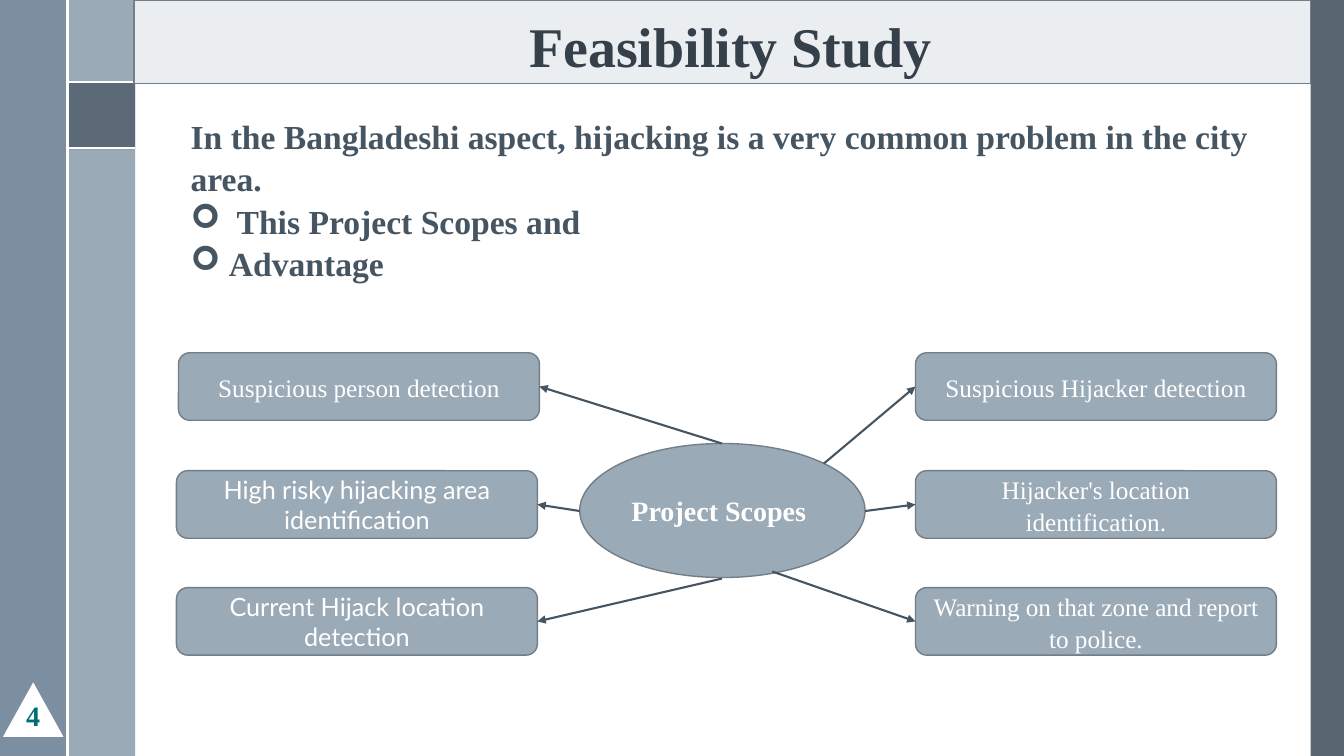
from lxml import etree
from pptx import Presentation
from pptx.dml.color import RGBColor
from pptx.enum import shapes as kinds, text as layout
from pptx.oxml.ns import qn
from pptx.util import Inches, Pt

SERIF, SANS = "Times New Roman", "Lato"
WHITE, STEEL, EDGE, SLATE, DARK = "FFFFFF", "9BAAB7", "737E87", "465562", "475562"
KIND = kinds.MSO_SHAPE
MIDDLE = layout.MSO_ANCHOR.MIDDLE
CENTER = layout.PP_ALIGN.CENTER
BOX_WIDTH, BOX_HEIGHT = 3.58, 0.67
ROW_TOPS = [3.5, 4.67, 5.83]

LEFT_SCOPES = [
    (1.77, "Suspicious person detection", SERIF),
    (1.75, "High risky hijacking area identification", SANS),
    (1.75, "Current Hijack location detection", SANS),
]
RIGHT_SCOPES = [
    (9.08, "Suspicious Hijacker detection", SERIF),
    (9.08, "Hijacker's location identification.", SERIF),
    (9.08, "Warning on that zone and report to police.", SERIF),
]
LEFT_STARTS = [(7.16, 4.4), (5.75, 5.07), (7.16, 5.74)]
RIGHT_STARTS = [(8.17, 4.6), (8.58, 5.07), (7.66, 5.67)]
PI_OUTLINE = [
    (1.18, 0.98), (0.9, 0.98), (0.86, 1), (0.83, 1.04), (0.84, 1.05), (0.85, 1.05),
    (0.87, 1.02), (0.9, 1.01), (0.94, 1.01), (0.93, 1.12), (0.91, 1.22), (0.88, 1.27),
    (0.88, 1.29), (0.9, 1.29), (0.94, 1.21), (0.96, 1.1), (0.97, 1.01), (1.06, 1.01),
    (1.05, 1.22), (1.05, 1.26), (1.07, 1.29), (1.1, 1.3), (1.12, 1.3), (1.16, 1.28),
    (1.19, 1.22), (1.18, 1.21), (1.16, 1.22), (1.14, 1.26), (1.11, 1.28), (1.08, 1.27),
    (1.07, 1.22), (1.09, 1.01), (1.18, 1.01), (1.19, 1),
]


def colour(value):
    return RGBColor.from_string(value)


def place(item, left, top, width, height):
    item.left, item.top = Inches(left), Inches(top)
    item.width, item.height = Inches(width), Inches(height)


def paint(shape, fill, line=None, alpha=None):
    shape.shadow.inherit = False
    shape.fill.solid()
    shape.fill.fore_color.rgb = colour(fill)
    if alpha:
        tint = shape.fill._xPr.find(qn("a:solidFill"))[0]
        etree.SubElement(tint, qn("a:alpha")).set("val", str(alpha * 1000))
    if line:
        shape.line.color.rgb = colour(line)
        shape.line.width = Pt(1)
    else:
        shape.line.fill.background()


def add_shape(page, kind, bounds, fill, line=None, alpha=None):
    shape = page.shapes.add_shape(kind, *map(Inches, bounds))
    paint(shape, fill, line, alpha)
    return shape


def write(para, words, size=18, font=SERIF, ink=WHITE, bold=False, align=None, spacing=1.0):
    span = para.add_run()
    span.text = words
    span.font.size, span.font.name, span.font.bold = Pt(size), font, bold
    span.font.color.rgb = colour(ink)
    para.alignment = align
    para.line_spacing = spacing
    para.space_before = Pt(0)


def set_bullet(para, mark=None):
    """Give the paragraph a hanging bullet, or none."""
    indent = Inches(0.38) if mark else 0
    properties = para._p.get_or_add_pPr()
    properties.set("marL", str(indent))
    properties.set("indent", str(-indent))
    if mark:
        etree.SubElement(properties, qn("a:buFont")).set("typeface", "Wingdings")
        etree.SubElement(properties, qn("a:buChar")).set("char", mark)
    else:
        etree.SubElement(properties, qn("a:buNone"))


def add_line(page, start, end, ink, arrow=False):
    line = page.shapes.add_connector(
        kinds.MSO_CONNECTOR.STRAIGHT, *map(Inches, (*start, *end)))
    line.line.color.rgb = colour(ink)
    line.line.width = Pt(1.5)
    if arrow:
        etree.SubElement(line.line._get_or_add_ln(), qn("a:tailEnd")).set("type", "triangle")
    etree.SubElement(line._element.spPr, qn("a:effectLst"))


def add_frame(page):
    """Draw the side bands, the pi badge and the header band."""
    add_shape(page, KIND.RECTANGLE, (13, 0, 0.33, 7.5), DARK, alpha=90)
    add_shape(page, KIND.RECTANGLE, (0.67, 0, 0.67, 7.5), STEEL)
    add_shape(page, KIND.RECTANGLE, (0, 0, 0.67, 7.5), "6A8093", alpha=88)
    add_shape(page, KIND.RECTANGLE, (0.67, 0.81, 0.67, 0.67), DARK, alpha=75)
    for y in (0.81, 1.47):
        add_line(page, (0.67, y), (1.34, y), WHITE)
    builder = page.shapes.build_freeform(*PI_OUTLINE[0], scale=Inches(1))
    builder.add_line_segments(PI_OUTLINE[1:], close=True)
    paint(builder.convert_to_shape(), WHITE)
    add_line(page, (0.67, 0), (0.67, 7.5), WHITE)
    add_shape(page, KIND.RECTANGLE, (1.33, 0, 11.67, 0.83), "EBEEF1", EDGE)


def fill_title(page):
    title = page.shapes.title
    place(title, 4.41, 0.01, 5.67, 0.83)
    frame = title.text_frame
    frame.vertical_anchor = layout.MSO_ANCHOR.BOTTOM
    frame.auto_size = layout.MSO_AUTO_SIZE.NONE
    write(frame.paragraphs[0], "Feasibility Study", size=40, ink="35404A",
          bold=True, align=CENTER, spacing=0.9)
    page.shapes._spTree.append(title._element)


def fill_body(page):
    body = page.placeholders[1]
    place(body, 1.79, 1.08, 10.75, 1.72)
    frame = body.text_frame
    frame.auto_size = layout.MSO_AUTO_SIZE.NONE
    lines = [
        ("In the Bangladeshi aspect, hijacking is a very common problem in the city area.", None),
        (" This Project Scopes and", "➢"),
        ("Advantage", "➢"),
    ]
    for index, (words, mark) in enumerate(lines):
        para = frame.add_paragraph() if index else frame.paragraphs[0]
        write(para, words, size=24, ink=SLATE, bold=True, spacing=1.05)
        set_bullet(para, mark)
    page.shapes._spTree.append(body._element)


def add_page_number(page):
    add_shape(page, KIND.ISOSCELES_TRIANGLE, (0.03, 6.77, 0.6, 0.54), WHITE)
    box = page.shapes.add_textbox(*map(Inches, (0.16, 6.83, 0.39, 0.36)))
    frame = box.text_frame
    frame.word_wrap = True
    frame.margin_left = frame.margin_right = Inches(0.1)
    frame.margin_top = frame.margin_bottom = Inches(0.1)
    write(frame.paragraphs[0], "4", size=20, ink="006E74", bold=True)


def add_node(page, kind, bounds, words, **style):
    node = add_shape(page, kind, bounds, STEEL, EDGE)
    node.text_frame.word_wrap = True
    node.text_frame.vertical_anchor = MIDDLE
    write(node.text_frame.paragraphs[0], words, align=CENTER, **style)


def add_scopes(page, scopes, starts, edge):
    """Draw one column of boxes and the arrows to their inner edges."""
    for top, (left, words, font), start in zip(ROW_TOPS, scopes, starts):
        add_node(page, KIND.ROUNDED_RECTANGLE, (left, top, BOX_WIDTH, BOX_HEIGHT), words,
                 font=font, spacing=1.05 if font == SERIF else 1.0)
        add_line(page, start, (left + edge, top + BOX_HEIGHT / 2), SLATE, arrow=True)


def main():
    deck = Presentation()
    deck.slide_width, deck.slide_height = Inches(13.33), Inches(7.5)
    page = deck.slides.add_slide(deck.slide_layouts[1])
    add_frame(page)
    fill_title(page)
    add_page_number(page)
    fill_body(page)
    add_node(page, KIND.OVAL, (5.75, 4.4, 2.83, 1.33), "Project Scopes ", size=20, bold=True)
    add_scopes(page, LEFT_SCOPES, LEFT_STARTS, BOX_WIDTH)
    add_scopes(page, RIGHT_SCOPES, RIGHT_STARTS, 0)
    deck.save("out.pptx")


if __name__ == "__main__":
    main()
